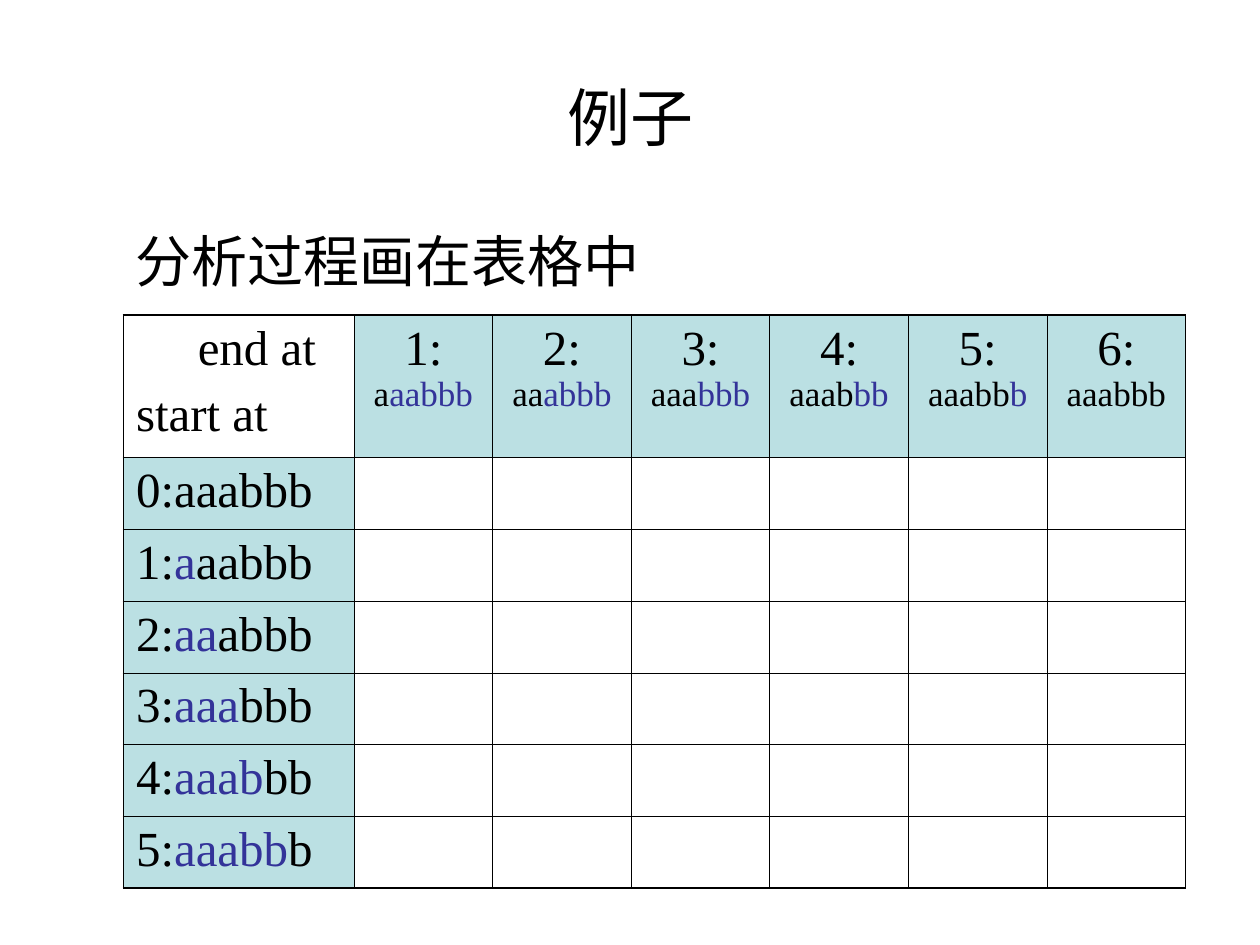
from lxml import etree
from pptx import Presentation
from pptx.dml.color import RGBColor
from pptx.enum.text import MSO_ANCHOR, PP_ALIGN
from pptx.oxml.ns import qn
from pptx.util import Inches, Pt

CENTER, LEFT = PP_ALIGN.CENTER, PP_ALIGN.LEFT
MIDDLE = MSO_ANCHOR.MIDDLE

BLACK = RGBColor(0x00, 0x00, 0x00)
INDIGO = RGBColor(0x33, 0x33, 0x99)
PALE_TEAL = RGBColor(0xBB, 0xE0, 0xE3)

HEADING_FONT, TABLE_FONT = "Arial", "Times New Roman"
LARGE, SMALL = 28, 20
INNER_LINE, OUTER_LINE = 0.45, 1.08

WORD = "aaabbb"
SIZE = len(WORD)
TABLE_LEFT, TABLE_TOP = 0.98, 2.5
START_WIDTH, END_WIDTH = 1.83, 1.1
HEADER_HEIGHT, ROW_HEIGHT = 1.13, 0.57


def format_font(font, name, size, color=BLACK):
    font.name = name
    font.size = Pt(size)
    font.color.rgb = color


def add_heading(frame, text, size, align):
    frame.word_wrap = True
    frame.text = text
    paragraph = frame.paragraphs[0]
    paragraph.alignment = align
    format_font(paragraph.runs[0].font, HEADING_FONT, size)


def add_runs(paragraph, parts):
    """Append (text, size, color) parts, skipping empty ones."""
    for text, size, color in parts:
        if text:
            run = paragraph.add_run()
            run.text = text
            format_font(run.font, TABLE_FONT, size, color)


def set_borders(cell, row, column):
    """Draw thin inner lines, and thicker ones around the table."""
    on_edge = {
        "a:lnL": column == 0,
        "a:lnR": column == SIZE,
        "a:lnT": row == 0,
        "a:lnB": row == SIZE,
    }
    properties = cell._tc.get_or_add_tcPr()
    for tag, outer in on_edge.items():
        width = Pt(OUTER_LINE if outer else INNER_LINE)
        line = etree.SubElement(properties, qn(tag), w=str(width))
        fill = etree.SubElement(line, qn("a:solidFill"))
        etree.SubElement(fill, qn("a:srgbClr"), val=str(BLACK))


def fill_corner(cell):
    frame = cell.text_frame
    end_label = frame.paragraphs[0]
    end_label._p.get_or_add_pPr().set("marL", str(Inches(0.49)))
    add_runs(end_label, [("end at", LARGE, BLACK)])
    start_label = frame.add_paragraph()
    start_label.space_before = Pt(7)
    add_runs(start_label, [("start at", LARGE, BLACK)])


def fill_end_header(cell, end):
    paragraph = cell.text_frame.paragraphs[0]
    paragraph.alignment = CENTER
    add_runs(paragraph, [
        (f"{end}: ", LARGE, BLACK),
        (WORD[:end], SMALL, BLACK),
        (WORD[end:], SMALL, INDIGO),
    ])


def fill_start_header(cell, start):
    add_runs(cell.text_frame.paragraphs[0], [
        (f"{start}:", LARGE, BLACK),
        (WORD[:start], LARGE, INDIGO),
        (WORD[start:], LARGE, BLACK),
    ])


def add_parse_table(slide):
    frame = slide.shapes.add_table(
        SIZE + 1, SIZE + 1, Inches(TABLE_LEFT), Inches(TABLE_TOP),
        Inches(START_WIDTH + SIZE * END_WIDTH),
        Inches(HEADER_HEIGHT + SIZE * ROW_HEIGHT))
    table = frame.table
    table.first_row = table.horz_banding = False
    for index in range(SIZE + 1):
        table.columns[index].width = Inches(END_WIDTH if index else START_WIDTH)
        table.rows[index].height = Inches(ROW_HEIGHT if index else HEADER_HEIGHT)

    for row in range(SIZE + 1):
        for column in range(SIZE + 1):
            cell = table.cell(row, column)
            set_borders(cell, row, column)
            if (row == 0) != (column == 0):
                cell.fill.solid()
                cell.fill.fore_color.rgb = PALE_TEAL
            else:
                cell.fill.background()

    fill_corner(table.cell(0, 0))
    for position in range(SIZE):
        fill_end_header(table.cell(0, position + 1), position + 1)
        fill_start_header(table.cell(position + 1, 0), position)


def main():
    presentation = Presentation()
    presentation.slide_width, presentation.slide_height = Inches(10), Inches(7.5)
    slide = presentation.slides.add_slide(presentation.slide_layouts[5])

    title = slide.shapes.title
    title.left, title.top = Inches(0.5), Inches(0.3)
    title.width, title.height = Inches(9), Inches(1.25)
    title.text_frame.vertical_anchor = MIDDLE
    add_heading(title.text_frame, "例子", 36, CENTER)

    intro = slide.shapes.add_textbox(
        Inches(TABLE_LEFT), Inches(1.75), Inches(8.27), Inches(0.7))
    add_heading(intro.text_frame, "分析过程画在表格中", 32, LEFT)

    add_parse_table(slide)
    presentation.save("out.pptx")


if __name__ == "__main__":
    main()
